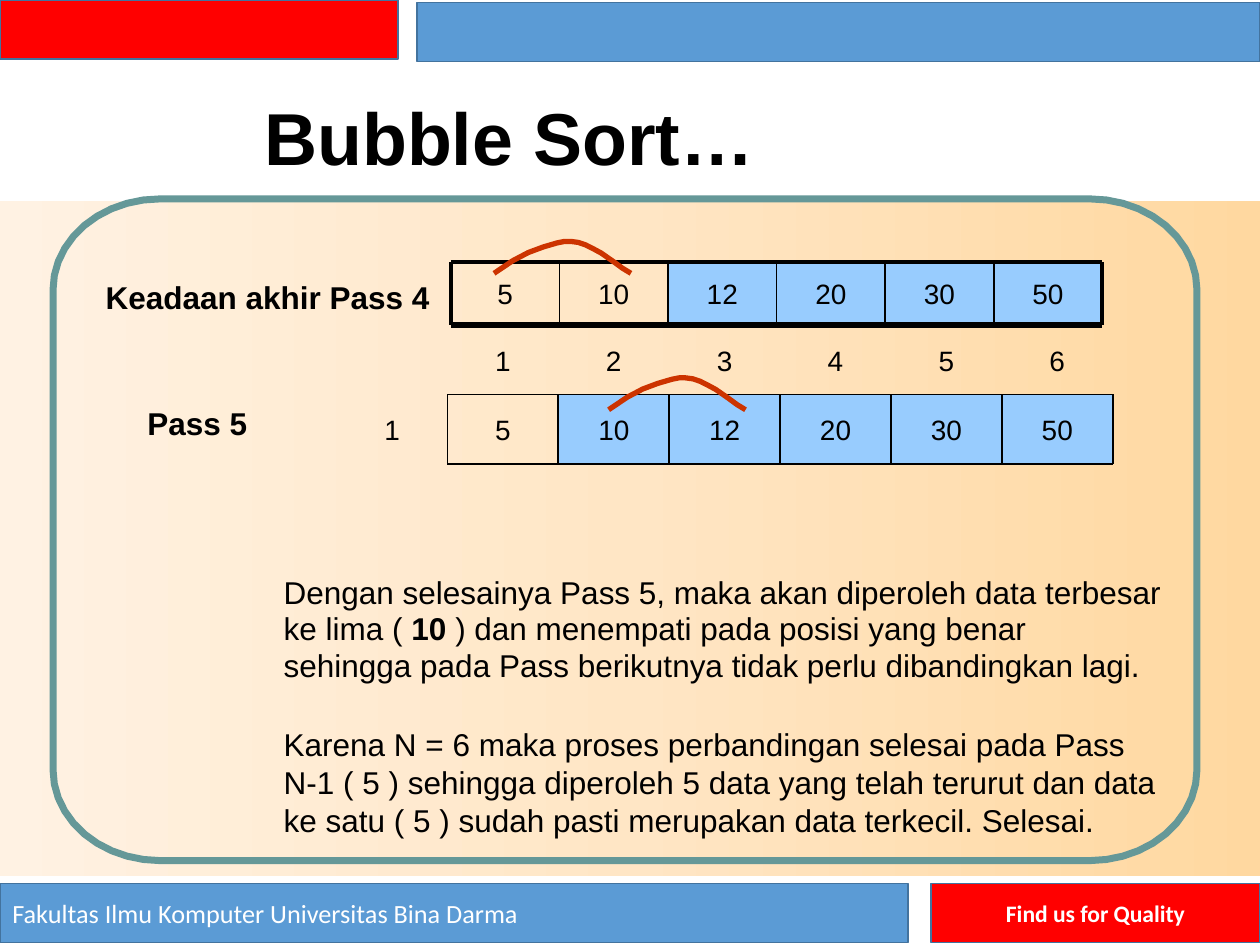
"""Build the final Bubble Sort slide, showing pass 5 on a six-element array."""
import copy
import math

import pptx
import pptx.dml.color
import pptx.enum.shapes
import pptx.enum.text
import pptx.oxml.ns
import pptx.util
from pptx.util import Cm, Pt

RGBColor = pptx.dml.color.RGBColor
BLACK = RGBColor(0, 0, 0)
WHITE = RGBColor(255, 255, 255)
RED = RGBColor(255, 0, 0)
BLUE = RGBColor(0x5B, 0x9B, 0xD5)
BAR_EDGE = RGBColor(0x43, 0x73, 0x9E)
TEAL = RGBColor(0x65, 0x98, 0x98)
SORTED_BLUE = RGBColor(0x98, 0xCC, 0xFE)
ARC_RED = RGBColor(0xCC, 0x33, 0x00)
PANEL_STOPS = [
    (0, RGBColor(0xFF, 0xD8, 0xA0)),
    (0.5, RGBColor(0xFF, 0xE6, 0xC5)),
    (1, RGBColor(0xFF, 0xF2, 0xE3)),
]

LEFT = pptx.enum.text.PP_ALIGN.LEFT
CENTER = pptx.enum.text.PP_ALIGN.CENTER

PANEL = (0, 4.06, 25.4, 13.61)
BARS = [
    ((0, 0, 8.03, 1.19), RED, "", 15, False, LEFT),
    ((8.41, 0.05, 16.99, 1.19), BLUE, "", 15, False, LEFT),
    ((0, 17.81, 18.31, 1.19), BLUE,
     "Fakultas Ilmu Komputer Universitas Bina Darma", 15, False, LEFT),
    ((18.77, 17.81, 6.63, 1.19), RED, "Find us for Quality", 13.5, True, CENTER),
]
FRAME = (1.07, 4.01, 23.06, 13.34)
FRAME_RADII = (2.16, 1.83)

VALUES = [5, 10, 12, 20, 30, 50]
PASS_4 = {"box": (9.09, 5.28, 13.13, 1.27), "unsorted": 2,
          "top": 2.25, "bottom": 3, "side": 2.25}
PASS_5 = {"box": (9.02, 7.95, 13.41, 1.4), "unsorted": 1,
          "top": 1, "bottom": 1, "side": 1}
INDEX_TOP = 6.98
STEP_TOP = 8.38
LABEL_SIZE = (0.46, 0.64)

ARC_STARTS = [(9.96, 5.51), (12.27, 8.26)]
ARC_OFFSETS = [
    (0, 0), (0.38, -0.25), (0.69, -0.41), (0.99, -0.52), (1.27, -0.6),
    (1.42, -0.63), (1.55, -0.63), (1.7, -0.61), (1.85, -0.56), (2.01, -0.48),
    (2.16, -0.4), (2.41, -0.23), (2.59, -0.1), (2.76, 0),
]
ARC_STRETCH = 1.02

HEADINGS = [
    ((5.33, 2.08, 10.16, 1.55), "Bubble Sort…", 42, 44),
    ((2.13, 5.69, 6.68, 0.71), "Keadaan akhir Pass 4", 18, 19.4),
    ((2.97, 8.23, 2.18, 0.71), "Pass 5", 18, 19.4),
]
EXPLANATIONS = [
    ((5.72, 11.58, 17.9, 2.24), 20.8, [
        [("Dengan selesainya Pass 5, maka akan diperoleh data terbesar", False)],
        [("ke lima ( ", False), ("10 ", True),
         (") dan menempati pada posisi yang benar", False)],
        [("sehingga pada Pass berikutnya tidak perlu dibandingkan lagi.", False)],
    ]),
    ((5.72, 14.63, 17.9, 2.24), 21.5, [
        [("Karena N = 6 maka proses perbandingan selesai pada Pass", False)],
        [("N-1 ( 5 ) sehingga diperoleh 5 data yang telah terurut dan data "
          "ke satu ( 5 ) sudah pasti merupakan data terkecil. Selesai.", False)],
    ]),
]


def style_font(font, size, bold=False, color=BLACK, name="Arial"):
    font.name, font.size, font.bold = name, Pt(size), bold
    font.color.rgb = color


def clear_margins(text_frame):
    text_frame.margin_left = text_frame.margin_right = 0
    text_frame.margin_top = text_frame.margin_bottom = 0
    text_frame.word_wrap = True


def add_rectangle(slide, box):
    shape = slide.shapes.add_shape(
        pptx.enum.shapes.MSO_SHAPE.RECTANGLE, *map(Cm, box))
    shape.shadow.inherit = False
    shape.line.fill.background()
    shape.text_frame.vertical_anchor = pptx.enum.text.MSO_ANCHOR.MIDDLE
    return shape


def add_panel(slide):
    fill_parent = add_rectangle(slide, PANEL)
    fill = fill_parent.fill
    fill.gradient()
    fill.gradient_angle = 180
    stop_list = fill_parent.element.spPr.find(".//" + pptx.oxml.ns.qn("a:gsLst"))
    stop_list.insert(1, copy.deepcopy(stop_list[0]))
    for stop, (position, color) in zip(fill.gradient_stops, PANEL_STOPS):
        stop.position = position
        stop.color.rgb = color


def add_bar(slide, box, color, text, size, bold, alignment):
    bar = add_rectangle(slide, box)
    bar.fill.solid()
    bar.fill.fore_color.rgb = color
    bar.line.color.rgb, bar.line.width = BAR_EDGE, Pt(1)
    if text:
        paragraph = bar.text_frame.paragraphs[0]
        paragraph.text, paragraph.alignment = text, alignment
        style_font(paragraph.runs[0].font, size, bold, WHITE, "Calibri")


def add_outline(slide, points, color, width, close):
    points = [(Cm(x), Cm(y)) for x, y in points]
    builder = slide.shapes.build_freeform(*points[0], scale=1.0)
    builder.add_line_segments(points[1:], close=close)
    outline = builder.convert_to_shape()
    outline.shadow.inherit = False
    outline.fill.background()
    outline.line.color.rgb, outline.line.width = color, Pt(width)


def frame_points():
    left, top, width, height = FRAME
    radius_x, radius_y = FRAME_RADII
    corners = [
        (left + width - radius_x, top + height - radius_y),
        (left + radius_x, top + height - radius_y),
        (left + radius_x, top + radius_y),
        (left + width - radius_x, top + radius_y),
    ]
    return [(x + radius_x * math.cos(math.radians(angle)),
             y + radius_y * math.sin(math.radians(angle)))
            for quarter, (x, y) in enumerate(corners)
            for angle in range(90 * quarter, 90 * quarter + 91, 9)]


def add_border(slide, start, end, width):
    line = slide.shapes.add_connector(
        pptx.enum.shapes.MSO_CONNECTOR.STRAIGHT, *map(Cm, start + end))
    line.line.color.rgb, line.line.width = BLACK, Pt(width)
    line.element.spPr.append(pptx.oxml.parse_xml(
        f"<a:effectLst {pptx.oxml.ns.nsdecls('a')}/>"))


def add_array(slide, array):
    left, top, width, height = array["box"]
    right, bottom = left + width, top + height
    step = width / len(VALUES)
    for column, value in enumerate(VALUES):
        cell = add_rectangle(slide, (left + column * step, top, step, height))
        if column < array["unsorted"]:
            cell.fill.background()
        else:
            cell.fill.solid()
            cell.fill.fore_color.rgb = SORTED_BLUE
        clear_margins(cell.text_frame)
        paragraph = cell.text_frame.paragraphs[0]
        paragraph.text, paragraph.alignment = str(value), CENTER
        style_font(paragraph.runs[0].font, 16)
    for column in range(len(VALUES) + 1):
        x = left + column * step
        line_width = array["side"] if column in (0, len(VALUES)) else 1
        add_border(slide, (x, top), (x, bottom), line_width)
    add_border(slide, (left, top), (right, top), array["top"])
    add_border(slide, (left, bottom), (right, bottom), array["bottom"])


def add_text(slide, box, lines, size, spacing, alignment=LEFT):
    text_frame = slide.shapes.add_textbox(*map(Cm, box)).text_frame
    clear_margins(text_frame)
    for number, runs in enumerate(lines):
        paragraph = text_frame.add_paragraph() if number else text_frame.paragraphs[0]
        paragraph.alignment, paragraph.line_spacing = alignment, Pt(spacing)
        for text, bold in runs:
            run = paragraph.add_run()
            run.text = text
            style_font(run.font, size, bold)


def add_column_label(slide, column, top, number):
    left, _, width, _ = PASS_5["box"]
    center = left + (column + 0.5) * width / len(VALUES)
    box = (center - LABEL_SIZE[0] / 2, top, *LABEL_SIZE)
    add_text(slide, box, [[(str(number), False)]], 16, 17.4, CENTER)


def main():
    presentation = pptx.Presentation()
    presentation.slide_width, presentation.slide_height = Cm(25.4), Cm(19.05)
    slide = presentation.slides.add_slide(presentation.slide_layouts[6])
    add_panel(slide)
    for bar in BARS:
        add_bar(slide, *bar)
    add_outline(slide, frame_points(), TEAL, 4, True)
    for array in (PASS_5, PASS_4):
        add_array(slide, array)
    for left, top in ARC_STARTS:
        arc = [(left + x, top + y * ARC_STRETCH) for x, y in ARC_OFFSETS]
        add_outline(slide, arc, ARC_RED, 3, False)
    for box, text, size, spacing in HEADINGS:
        add_text(slide, box, [[(text, True)]], size, spacing)
    for column in range(len(VALUES)):
        add_column_label(slide, column, INDEX_TOP, column + 1)
    add_column_label(slide, -1, STEP_TOP, 1)
    for box, spacing, lines in EXPLANATIONS:
        add_text(slide, box, lines, 18, spacing)
    presentation.save("out.pptx")


if __name__ == "__main__":
    main()
